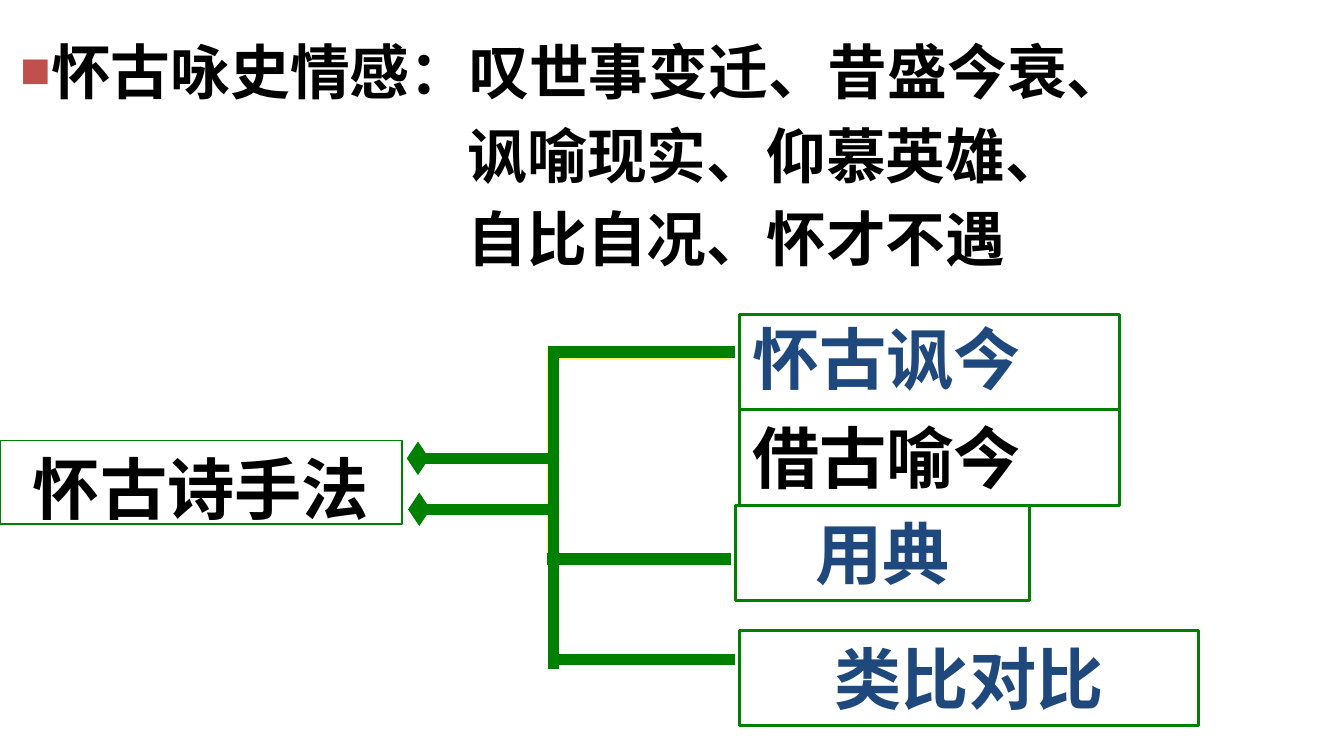
from lxml.etree import SubElement as Sub
from pptx import Presentation
from pptx.dml.color import RGBColor as Rgb
from pptx.enum.shapes import MSO_CONNECTOR as Conn, MSO_SHAPE as Shape
from pptx.enum.text import MSO_ANCHOR as Anchor, MSO_AUTO_SIZE as Auto, PP_ALIGN as Align
from pptx.oxml.ns import qn
from pptx.util import Inches, Pt

HUES = {"ink": "000000", "blue": "1F497D", "green": "008000",
        "yellow": "FFFF66", "red": "C0504D"}


def hue(name):
    """Return the named colour."""
    return Rgb.from_string(HUES[name])


def place(shape, box):
    """Move a shape to a box of left, top, width and height."""
    shape.left, shape.top, shape.width, shape.height = map(Inches, box)


def write(para, text, size, tint="ink", font="Calibri"):
    """Add one bold run to a paragraph."""
    run = para.add_run()
    run.text = text
    run.font.size, run.font.bold, run.font.name = Pt(size), True, font
    run.font.color.rgb = hue(tint)


def indent(para, left, first=0, mark=None):
    """Set the indents and the bullet of a paragraph."""
    props = para._p.get_or_add_pPr()
    props.set("marL", str(Inches(left)))
    props.set("indent", str(Inches(first)))
    if not mark:
        Sub(props, qn("a:buNone"))
        return
    tint = Sub(props, qn("a:buClr"))
    Sub(tint, qn("a:srgbClr"), val=HUES["red"])
    Sub(props, qn("a:buSzPct"), val="85000")
    Sub(props, qn("a:buFont"), typeface="Times New Roman")
    Sub(props, qn("a:buChar"), char=mark)


def add_theme(body, box, lines):
    """Fill the body with a bulleted line and its aligned follow-ups."""
    place(body, box)
    frame = body.text_frame
    frame.auto_size, frame.vertical_anchor = Auto.NONE, Anchor.TOP
    for num, line in enumerate(lines):
        para = frame.add_paragraph() if num else frame.paragraphs[0]
        if num:
            indent(para, 3.33)
        else:
            indent(para, 0.23, -0.23, "■")
            para.space_before = Pt(0)
        write(para, line, 32)


def add_root(title, box, text):
    """Frame the title as the root of the tree."""
    place(title, box)
    title.line.color.rgb, title.line.width = hue("green"), Pt(0.75)
    frame = title.text_frame
    frame.auto_size, frame.vertical_anchor = Auto.NONE, Anchor.TOP
    para = frame.paragraphs[0]
    para.alignment = Align.CENTER
    write(para, text, 36)


def add_leaf(shapes, box, text, tint, font, align, inset=0.05):
    """Draw one framed label of the tree."""
    leaf = shapes.add_shape(Shape.RECTANGLE, *map(Inches, box))
    leaf.shadow.inherit = False
    leaf.fill.background()
    leaf.line.color.rgb, leaf.line.width = hue("green"), Pt(1.5)
    frame = leaf.text_frame
    frame.word_wrap, frame.vertical_anchor = True, Anchor.TOP
    frame.margin_top = Inches(inset)
    para = frame.paragraphs[0]
    para.alignment = align
    write(para, text, 36, tint, font)


def add_line(shapes, start, end, tint, head=False):
    """Draw a thick line, with a diamond at its start if asked."""
    line = shapes.add_connector(Conn.STRAIGHT, *map(Inches, start + end))
    line.line.color.rgb, line.line.width = hue(tint), Pt(6)
    edge = line.line._get_or_add_ln()
    edge.set("cap", "sq")
    if head:
        Sub(edge, qn("a:headEnd"), type="diamond", w="med", len="sm")
    Sub(line._element.spPr, qn("a:effectLst"))


def add_fork(shapes, box, tint, low, tail):
    """Draw a stem with two arms to the right and a tail to the left."""
    left, top, width, height = box
    group = shapes.add_group_shape().shapes
    add_line(group, (left, top), (left, top + height), tint)
    add_line(group, (left, top), (left + width, top), tint)
    add_line(group, (left, top + low), (left + width, top + low), "green")
    add_line(group, (left - 1, top + tail), (left, top + tail), "green", True)


def main():
    """Build the slide and save it."""
    deck = Presentation()
    deck.slide_width = Inches(10)
    deck.slide_height = deck.slide_width * 9 // 16
    slide = deck.slides.add_slide(deck.slide_layouts[1])
    shapes = slide.shapes
    add_root(shapes.title, (0, 3.28, 2.99, 0.62), "怀古诗手法")
    add_theme(slide.placeholders[1], (0.05, 0.21, 9.95, 2.47),
              ("怀古咏史情感：叹世事变迁、昔盛今衰、",
               "讽喻现实、仰慕英雄、", "自比自况、怀才不遇"))
    sans, serif = "Calibri", "Times New Roman"
    for leaf in (
        ((5.5, 2.34, 2.83, 0.71), "怀古讽今", "blue", sans, Align.LEFT, 0.02),
        ((5.5, 3.05, 2.83, 0.71), "借古喻今", "ink", sans, Align.LEFT),
        ((5.47, 3.76, 2.19, 0.71), "用典", "blue", serif, Align.CENTER),
        ((5.5, 4.69, 3.42, 0.71), "类比对比", "blue", serif, Align.CENTER),
    ):
        add_leaf(shapes, *leaf)
    add_fork(shapes, (4.11, 2.64, 1.29, 1.53), "yellow", 1.52, 0.77)
    add_fork(shapes, (4.12, 2.62, 1.31, 2.32), "green", 2.29, 1.17)
    deck.save("out.pptx")


if __name__ == "__main__":
    main()
